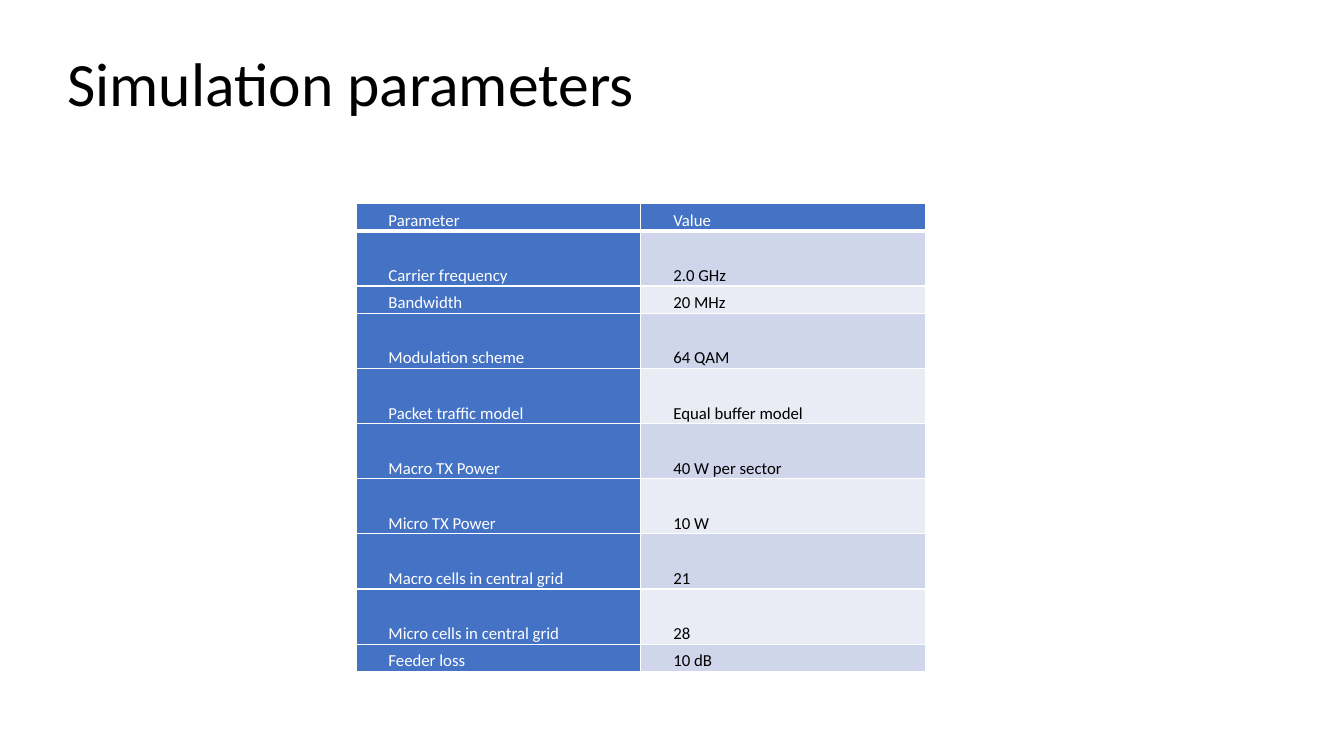
from lxml.etree import SubElement
from pptx import Presentation
from pptx.dml.color import RGBColor
from pptx.enum.text import MSO_ANCHOR, PP_ALIGN
from pptx.oxml.ns import qn
from pptx.util import Cm, Pt

COLORS = {
    "text": "000000",
    "white": "FFFFFF",
    "blue": "4472C4",
    "band_dark": "CFD5EA",
    "band_light": "E9EBF5",
}
FONT = "Calibri"
SHORT_ROW, TALL_ROW = Cm(0.69), Cm(1.39)
PARAMETERS = [
    ("Parameter", "Value", SHORT_ROW),
    ("Carrier frequency", "2.0 GHz", TALL_ROW),
    ("Bandwidth", "20 MHz", SHORT_ROW),
    ("Modulation scheme", "64 QAM", TALL_ROW),
    ("Packet traffic model", "Equal buffer model", TALL_ROW),
    ("Macro TX Power", "40 W per sector", TALL_ROW),
    ("Micro TX Power", "10 W", TALL_ROW),
    ("Macro cells in central grid", "21", TALL_ROW),
    ("Micro cells in central grid", "28", TALL_ROW),
    ("Feeder loss", "10 dB", SHORT_ROW),
]


def add_text(para, text, size, color):
    run = para.add_run()
    run.text = text
    run.font.name = FONT
    run.font.size = Pt(size)
    run.font.bold = False
    run.font.color.rgb = RGBColor.from_string(COLORS[color])


def add_borders(cell, bottom_width):
    """Draw white cell borders, 1 pt wide except for the bottom one."""
    properties = cell._tc.get_or_add_tcPr()
    for side, width in (("L", 1), ("R", 1), ("T", 1), ("B", bottom_width)):
        line = SubElement(properties, qn(f"a:ln{side}"), w=str(Pt(width)))
        fill = SubElement(line, qn("a:solidFill"))
        SubElement(fill, qn("a:srgbClr"), val=COLORS["white"])


deck = Presentation()
deck.slide_width, deck.slide_height = Cm(33.87), Cm(19.05)
page = deck.slides.add_slide(deck.slide_layouts[6])

title_box = page.shapes.add_textbox(Cm(1.45), Cm(0.66), Cm(27.76), Cm(3.02))
title_box.text_frame.word_wrap = True
title_box.text_frame.vertical_anchor = MSO_ANCHOR.MIDDLE
title_para = title_box.text_frame.paragraphs[0]
title_para.line_spacing = 0.9
add_text(title_para, "Simulation parameters", 44, "text")

table_height = sum(height for _, _, height in PARAMETERS)
table = page.shapes.add_table(
    len(PARAMETERS), 2, Cm(8.97), Cm(5.13), Cm(14.36), table_height
).table
table.first_row = False
table.horz_banding = False

for row_index, (name, value, height) in enumerate(PARAMETERS):
    table.rows[row_index].height = height
    for column_index, text in enumerate((name, value)):
        is_heading = row_index == 0 or column_index == 0
        if is_heading:
            fill_color, text_color = "blue", "white"
        else:
            fill_color = "band_dark" if row_index % 2 else "band_light"
            text_color = "text"

        cell = table.cell(row_index, column_index)
        add_borders(cell, 3 if row_index == 0 else 1)
        cell.fill.solid()
        cell.fill.fore_color.rgb = RGBColor.from_string(COLORS[fill_color])
        cell.vertical_anchor = MSO_ANCHOR.BOTTOM
        cell.margin_left = cell.margin_right = Cm(0.18)
        cell.margin_top = cell.margin_bottom = Cm(0)

        para = cell.text_frame.paragraphs[0]
        para.alignment = PP_ALIGN.JUSTIFY
        para.line_spacing = 1.15
        para.space_before = para.space_after = Pt(5)
        para._p.get_or_add_pPr().set("indent", str(Cm(0.64)))
        add_text(para, text, 12, text_color)

deck.save("out.pptx")
